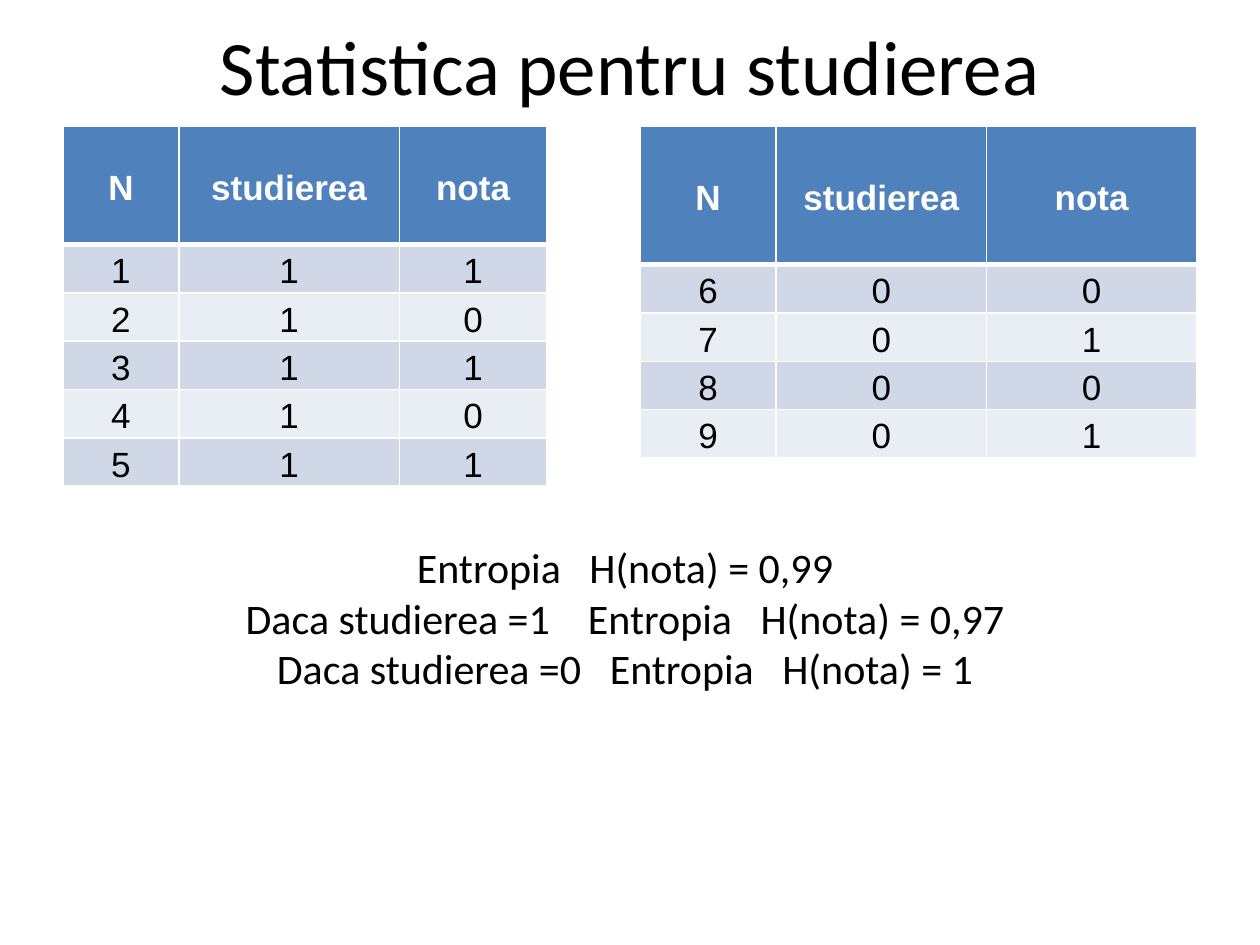
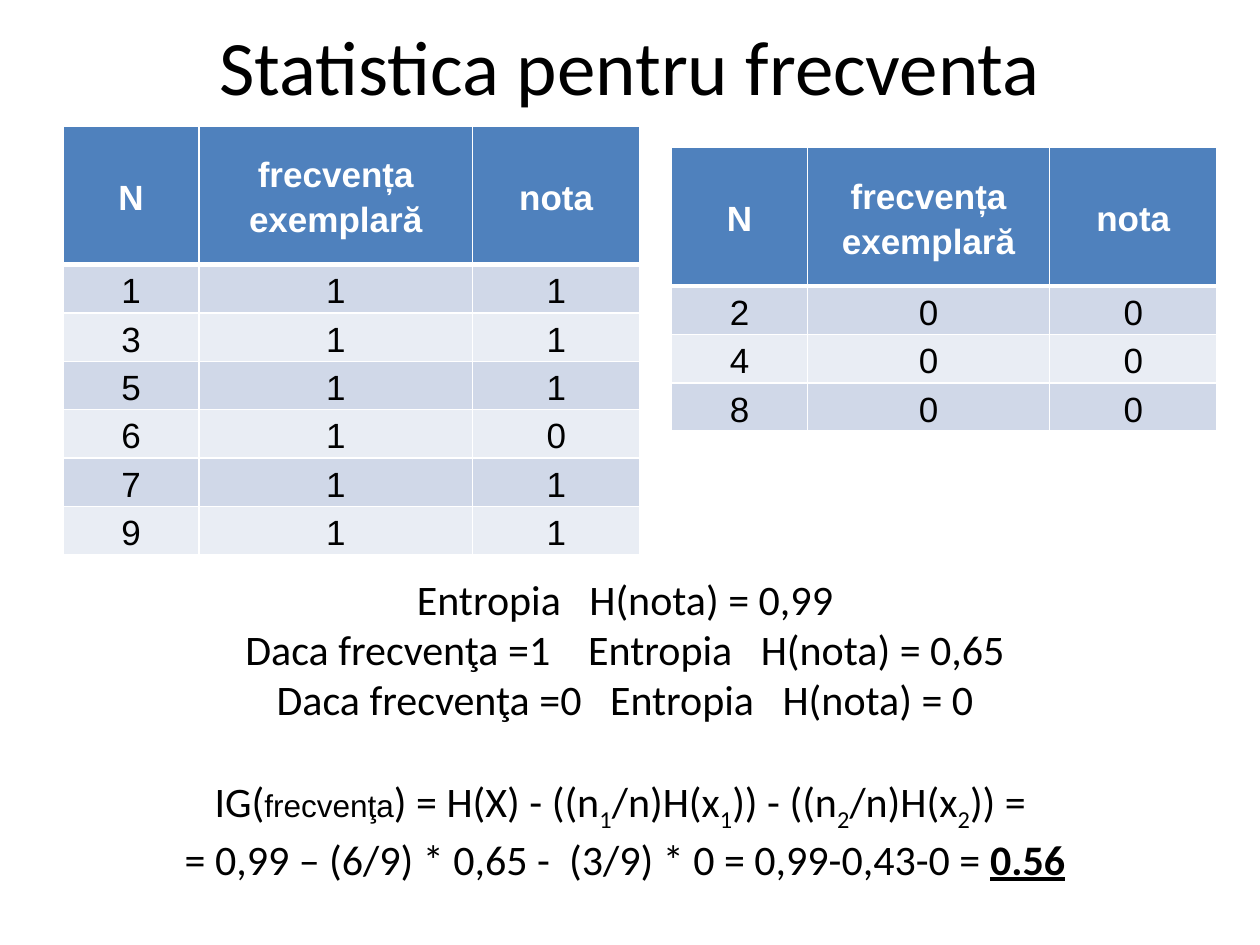
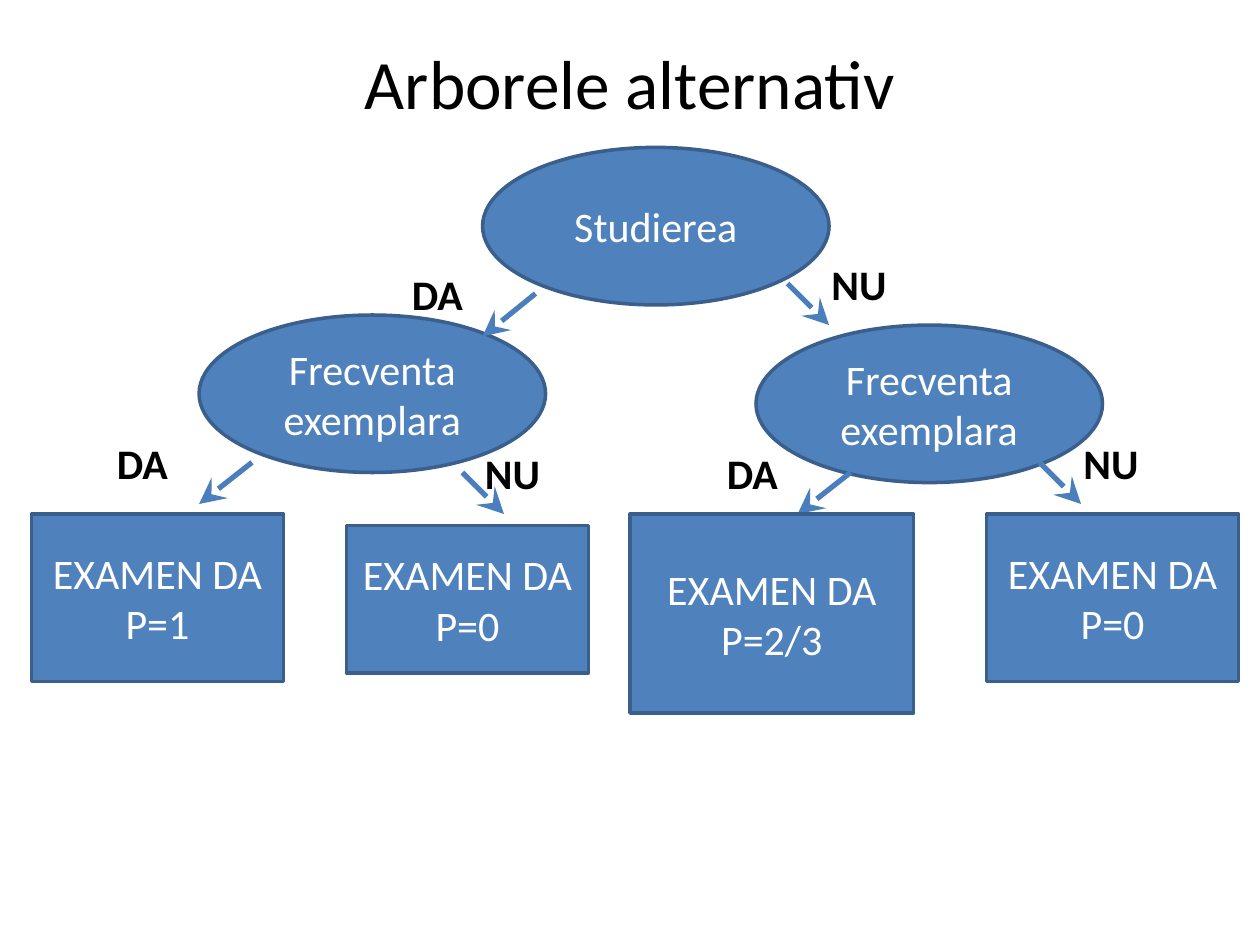
from lxml.etree import SubElement
from pptx import Presentation
from pptx.dml.color import RGBColor
from pptx.enum.shapes import MSO_CONNECTOR, MSO_SHAPE
from pptx.enum.text import MSO_ANCHOR, PP_ALIGN
from pptx.oxml import parse_xml
from pptx.oxml.ns import nsdecls, qn
from pptx.util import Inches, Pt

BLUE = "4F81BD"
OUTLINE = "3A5F8C"
ARROW = "4B7EBC"
BANDS = ("D0D8E8", "E9EDF4")
BLACK = "000000"
WHITE = "FFFFFF"
BODY_FONT = "Calibri"
TABLE_FONT = "Arial"
BODY_SIZE = 24
SPACE_WIDTH = 5.4  # points, one space at body size


def color(value):
    return RGBColor.from_string(value)


def set_font(font, size, fill, name=BODY_FONT, bold=False):
    font.size = Pt(size)
    font.name = name
    font.bold = bold
    font.color.rgb = color(fill)


def add_span(para, text, gap=0, subscript=False):
    """Add a run; gap widens a single space to that many spaces."""
    span = para.add_run()
    span.text = text
    if gap:
        span._r.get_or_add_rPr().set("spc", str(round((gap - 1) * SPACE_WIDTH * 100)))
    if subscript:
        span._r.get_or_add_rPr().set("baseline", "-25000")
    return span


def write_lines(frame, lines, size, fill, align=PP_ALIGN.CENTER, bold=False):
    frame.word_wrap = True
    for index, line in enumerate(lines):
        para = frame.paragraphs[0] if index == 0 else frame.add_paragraph()
        para.alignment = align
        set_font(para.font, size, fill, bold=bold)
        for part in line if isinstance(line, list) else [line]:
            if isinstance(part, int):
                add_span(para, " ", gap=part)
            else:
                add_span(para, part)


def add_text(page, left, top, width, height, lines, size=BODY_SIZE, **style):
    box = page.shapes.add_textbox(Inches(left), Inches(top), Inches(width), Inches(height))
    write_lines(box.text_frame, lines, size, BLACK, **style)
    return box


def add_title(page, text, top=0.08, height=0.87, size=44):
    box = add_text(page, 0.5, top, 9, height, [text], size=size)
    box.text_frame.vertical_anchor = MSO_ANCHOR.MIDDLE


def set_borders(cell, top, bottom):
    """Draw white borders, given the top and bottom widths in points."""
    sides = (("lnL", 1), ("lnR", 1), ("lnT", top), ("lnB", bottom))
    for position, (tag, width) in enumerate(sides):
        border = parse_xml(
            f'<a:{tag} {nsdecls("a")} w="{Pt(width)}"><a:solidFill>'
            f'<a:srgbClr val="{WHITE}"/></a:solidFill></a:{tag}>')
        cell._tc.get_or_add_tcPr().insert(position, border)


def fill_cell(cell, text, row):
    header = row == 0
    cell.fill.solid()
    cell.fill.fore_color.rgb = color(BLUE if header else BANDS[(row - 1) % 2])
    cell.vertical_anchor = MSO_ANCHOR.MIDDLE
    cell.margin_left = cell.margin_right = Inches(0.07)
    cell.margin_top = cell.margin_bottom = 0
    para = cell.text_frame.paragraphs[0]
    para.alignment = PP_ALIGN.CENTER
    para.line_spacing = 1.15
    para.space_after = Pt(10)
    set_font(para.font, 20, WHITE if header else BLACK, TABLE_FONT, header)
    add_span(para, text)
    set_borders(cell, top=3 if row == 1 else 1, bottom=3 if header else 1)


def add_grade_table(page, left, top, widths, attribute, value, grades,
                    header_height=1.1, row_height=0.37):
    """Add a table of (number, grade) pairs that share one attribute value."""
    rows = [("N", attribute, "nota")]
    rows += [(str(number), str(value), str(grade)) for number, grade in grades]
    heights = [header_height] + [row_height] * len(grades)
    table = page.shapes.add_table(
        len(rows), len(widths), Inches(left), Inches(top),
        Inches(sum(widths)), Inches(sum(heights))).table
    for column, width in zip(table.columns, widths):
        column.width = Inches(width)
    for row, (height, texts) in enumerate(zip(heights, rows)):
        table.rows[row].height = Inches(height)
        for column, text in enumerate(texts):
            fill_cell(table.cell(row, column), text, row)


def entropy_lines(attribute, entropy_one, entropy_zero):
    tail = ["Entropia", 3, "H(nota) = "]
    return [
        tail + ["0,99"],
        [f"Daca {attribute} =1", 4] + tail + [entropy_one],
        [f"Daca {attribute} =0", 3] + tail + [entropy_zero],
    ]


def add_gain_formula(frame):
    formula = frame.add_paragraph()
    formula.alignment = PP_ALIGN.CENTER
    formula.space_before = Pt(29.3)
    set_font(formula.font, BODY_SIZE, BLACK)
    add_span(formula, "IG(")
    attribute = add_span(formula, "frecvenţa")
    attribute.font.size = Pt(18)
    attribute.font.name = TABLE_FONT
    pieces = (") = H(X) - ((n", "1", "/n)H(x", "1", ")) - ((n", "2", "/n)H(x", "2", ")) = ")
    for piece in pieces:
        add_span(formula, piece, subscript=piece.isdigit())

    result = frame.add_paragraph()
    result.alignment = PP_ALIGN.CENTER
    set_font(result.font, BODY_SIZE, BLACK)
    add_span(result, "= 0,99 – (6/9) * 0,65 -")
    add_span(result, " ", gap=2)
    add_span(result, "(3/9) * 0 = 0,99-0,43-0 = ")
    gain = add_span(result, "0.56")
    gain.font.bold = True
    gain.font.underline = True


def add_node(page, kind, left, top, width, height, lines):
    node = page.shapes.add_shape(
        kind, Inches(left), Inches(top), Inches(width), Inches(height))
    node.shadow.inherit = False
    node.fill.solid()
    node.fill.fore_color.rgb = color(BLUE)
    node.line.color.rgb = color(OUTLINE)
    node.line.width = Pt(2)
    node.text_frame.vertical_anchor = MSO_ANCHOR.MIDDLE
    write_lines(node.text_frame, lines, BODY_SIZE, WHITE)


def add_arrow(page, start_x, start_y, end_x, end_y):
    arrow = page.shapes.add_connector(
        MSO_CONNECTOR.STRAIGHT, Inches(start_x), Inches(start_y), Inches(end_x), Inches(end_y))
    arrow.line.color.rgb = color(ARROW)
    arrow.line.width = Pt(3)
    SubElement(arrow.line._get_or_add_ln(), qn("a:tailEnd"), type="stealth", w="lg", len="lg")
    SubElement(arrow._element.spPr, qn("a:effectLst"))


def build_study_page(page):
    add_title(page, "Statistica pentru studierea")
    add_grade_table(page, 0.5, 1, (0.92, 1.75, 1.17), "studierea", 1,
                    [(1, 1), (2, 0), (3, 1), (4, 0), (5, 1)],
                    header_height=0.94, row_height=0.33)
    add_text(page, 0.25, 4.25, 9.42, 1.72, entropy_lines("studierea", "0,97", "1"))
    add_grade_table(page, 5.08, 1, (1.08, 1.67, 1.67), "studierea", 0,
                    [(6, 0), (7, 1), (8, 0), (9, 1)])


def build_attendance_page(page):
    add_title(page, "Statistica pentru frecventa")
    box = add_text(page, 0.25, 4.5, 9.42, 2.5, entropy_lines("frecvenţa", "0,65", "0"))
    add_gain_formula(box.text_frame)
    add_grade_table(page, 0.5, 1, (1.08, 2.17, 1.33), "frecvența exemplară", 1,
                    [(1, 1), (3, 1), (5, 1), (6, 0), (7, 1), (9, 1)])
    add_grade_table(page, 5.33, 1.17, (1.08, 1.92, 1.33), "frecvența exemplară", 0,
                    [(2, 0), (4, 0), (8, 0)])


def build_tree_page(page):
    add_title(page, "Arborele alternativ", top=0.3, height=0.7, size=39.6)
    questions = (
        (1.58, 2.5, "Frecventa exemplara"),
        (6, 2.58, "Frecventa exemplara"),
        (3.83, 1.17, "Studierea"),
    )
    for left, top, text in questions:
        add_node(page, MSO_SHAPE.OVAL, left, top, 2.75, 1.25, [text])

    # Arrow start and end, then the answer's text and place.
    branches = (
        (4.25, 2.33, 3.83, 2.67, "DA", 3.17, 2.08),
        (3.67, 3.75, 4, 4.08, "NU", 3.75, 3.5),
        (2, 3.67, 1.58, 4, "DA", 0.83, 3.42),
        (6.25, 2.25, 6.58, 2.58, "NU", 6.5, 2),
        (8.25, 3.67, 8.58, 4, "NU", 8.5, 3.42),
        (6.75, 3.75, 6.33, 4.08, "DA", 5.67, 3.5),
    )
    for *ends, answer, left, top in branches:
        add_arrow(page, *ends)
        add_text(page, left, top, 0.92, 0.51, [answer], align=PP_ALIGN.LEFT, bold=True)

    outcomes = (
        (0.25, 4.08, 2, 1.33, "P=1"),
        (5, 4.08, 2.25, 1.58, "P=2/3"),
        (2.75, 4.17, 1.92, 1.17, "P=0"),
        (7.83, 4.08, 2, 1.33, "P=0"),
    )
    for *place, probability in outcomes:
        add_node(page, MSO_SHAPE.RECTANGLE, *place, ["EXAMEN DA", probability])


def main():
    deck = Presentation()
    deck.slide_width = Inches(10)
    deck.slide_height = Inches(7.5)
    for build in (build_study_page, build_attendance_page, build_tree_page):
        build(deck.slides.add_slide(deck.slide_layouts[6]))
    deck.save("out.pptx")


if __name__ == "__main__":
    main()
